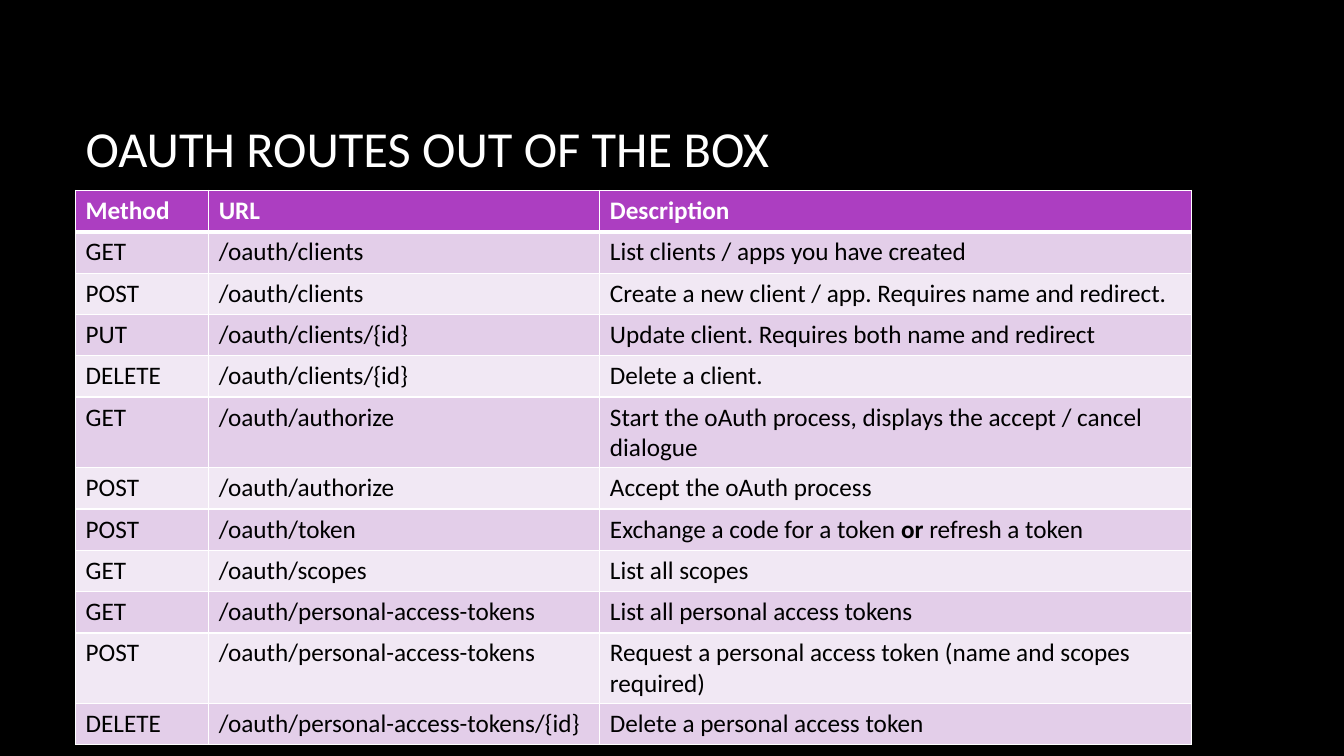
from pptx import Presentation
from pptx.dml.color import RGBColor
from pptx.enum.text import MSO_ANCHOR
from pptx.oxml import parse_xml
from pptx.oxml.ns import nsdecls
from pptx.util import Inches, Pt

MIDDLE = MSO_ANCHOR.MIDDLE
COLORS = {"black": "000000", "white": "FFFFFF", "head": "AC3EC1",
          "odd": "E3CEE9", "even": "F1E8F4"}


def write(frame, text, size=18, color="black", bold=False):
    """Fill a text frame; parts between ** marks switch weight."""
    for i, part in enumerate(text.split("**")):
        run = frame.paragraphs[0].add_run()
        run.text = part
        run.font.name = "Calibri"
        run.font.size = Pt(size)
        run.font.bold = bold or i % 2 == 1
        run.font.color.rgb = RGBColor.from_string(COLORS[color])


def border(cell, side, width):
    cell._tc.get_or_add_tcPr().append(parse_xml(
        f'<a:ln{side} {nsdecls("a")} w="{Pt(width)}"><a:solidFill>'
        f'<a:srgbClr val="{COLORS["white"]}"/></a:solidFill></a:ln{side}>'))


# Slide and background
deck = Presentation()
deck.slide_width, deck.slide_height = Inches(13.33), Inches(7.5)
slide = deck.slides.add_slide(deck.slide_layouts[6])
slide.background.fill.solid()
slide.background.fill.fore_color.rgb = RGBColor.from_string(COLORS["black"])

# Title
title = slide.shapes.add_textbox(Inches(0.75), Inches(0.67),
                                 Inches(11.08), Inches(1.59)).text_frame
title.word_wrap = True
title.vertical_anchor = MIDDLE
write(title, "OAUTH ROUTES OUT OF THE BOX", size=36, color="white")

# Table of routes
routes = [
    ("Method", "URL", "Description"),
    ("GET", "/oauth/clients", "List clients / apps you have created"),
    ("POST", "/oauth/clients",
     "Create a new client / app. Requires name and redirect."),
    ("PUT", "/oauth/clients/{id}",
     "Update client. Requires both name and redirect"),
    ("DELETE", "/oauth/clients/{id}", "Delete a client."),
    ("GET", "/oauth/authorize",
     "Start the oAuth process, displays the accept / cancel dialogue"),
    ("POST", "/oauth/authorize", "Accept the oAuth process"),
    ("POST", "/oauth/token",
     "Exchange a code for a token **or** refresh a token"),
    ("GET", "/oauth/scopes", "List all scopes"),
    ("GET", "/oauth/personal-access-tokens",
     "List all personal access tokens"),
    ("POST", "/oauth/personal-access-tokens",
     "Request a personal access token (name and scopes required)"),
    ("DELETE", "/oauth/personal-access-tokens/{id}",
     "Delete a personal access token"),
]
widths = [1.32, 3.88, 5.87]
table = slide.shapes.add_table(
    len(routes), len(widths), Inches(0.75), Inches(1.89),
    Inches(sum(widths)), Inches(0.41 * len(routes))).table
for col, width in zip(table.columns, widths):
    col.width = Inches(width)

for r, route in enumerate(routes):
    head = r == 0
    shade = "head" if head else "odd" if r % 2 else "even"
    for c, text in enumerate(route):
        cell = table.cell(r, c)
        # Borders come before the fill; a thick rule sits under the header
        for side in "LRTB":
            thick = (side, r) in (("B", 0), ("T", 1))
            border(cell, side, 3 if thick else 1)
        cell.fill.solid()
        cell.fill.fore_color.rgb = RGBColor.from_string(COLORS[shade])
        write(cell.text_frame, text, bold=head,
              color="white" if head else "black")

deck.save("out.pptx")
